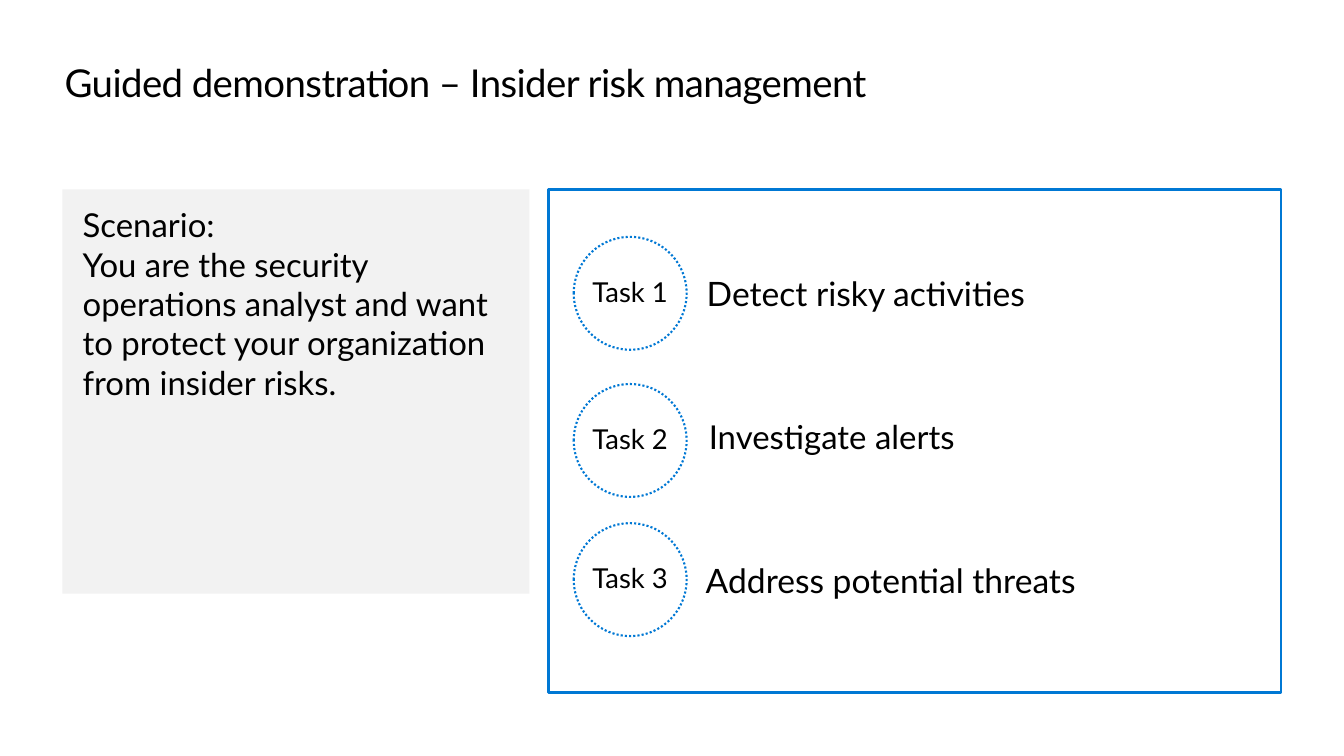
import pptx
import pptx.dml.color
import pptx.enum.dml
import pptx.enum.shapes
import pptx.enum.text
import pptx.util

EMU_PER_PX = 9144
SHAPES = pptx.enum.shapes.MSO_SHAPE
ANCHOR = pptx.enum.text.MSO_ANCHOR
ALIGN = pptx.enum.text.PP_ALIGN
DOTTED = pptx.enum.dml.MSO_LINE.ROUND_DOT
BLACK, BLUE, GREY, WHITE = "000000", "0078D4", "F2F2F2", "FFFFFF"
TASKS = [
    {"name": "Task 1", "text": "Detect risky activities", "circle": (25, 47), "label": (157, 83), "size": 24},
    {"name": "Task 2", "text": "Investigate alerts", "circle": (25, 193), "label": (159, 225), "size": 23.5},
    {"name": "Task 3", "text": "Address potential threats", "circle": (25, 331), "label": (156, 367), "size": 24},
]


def px(length):
    return pptx.util.Emu(length * EMU_PER_PX)


def color(value):
    return pptx.dml.color.RGBColor.from_string(value)


def set_all(target, values):
    for name, value in values.items():
        setattr(target, name, value)


def write(shape, lines, size, insets=(0, 0, 0, 0), frame_format=None, paragraph_format=None):
    frame = shape.text_frame
    left, top, right, bottom = map(px, insets)
    set_all(frame, {
        "margin_left": left, "margin_top": top, "margin_right": right, "margin_bottom": bottom,
        "word_wrap": True, "vertical_anchor": ANCHOR.TOP,
        "auto_size": pptx.enum.text.MSO_AUTO_SIZE.NONE, **(frame_format or {}),
    })
    frame.text = "\n".join(lines)
    for paragraph in frame.paragraphs:
        set_all(paragraph, {"alignment": ALIGN.LEFT, **(paragraph_format or {})})
        for run in paragraph.runs:
            set_all(run.font, {"name": "Lato", "size": pptx.util.Pt(size)})
            run.font.color.rgb = color(BLACK)


def add_shape(slide, kind, box, fill=None, line=None, dash=None):
    shape = slide.shapes.add_shape(kind, *map(px, box))
    shape.shadow.inherit = False
    if fill:
        shape.fill.solid()
        shape.fill.fore_color.rgb = color(fill)
    else:
        shape.fill.background()
    if line:
        shape.line.color.rgb = color(line)
        shape.line.width = pptx.util.Pt(1.5)
        if dash:
            shape.line.dash_style = dash
    else:
        shape.line.fill.background()
    return shape


def add_title(slide, box):
    title = slide.shapes.title
    set_all(title, dict(zip(("left", "top", "width", "height"), map(px, box))))
    write(title, ["Guided demonstration – Insider risk management"], 27.45,
          insets=(0, 10, 16, 10), paragraph_format={"line_spacing": 0.9})
    title.text_frame.paragraphs[0].runs[0].font._element.set("spc", "-45")


def add_scenario(slide, box):
    panel = add_shape(slide, SHAPES.RECTANGLE, box, fill=GREY)
    write(panel, [
        "Scenario:",
        "You are the security operations analyst and want to protect your organization from insider risks.",
    ], 23.5, insets=(20, 15, 20, 15))
    description = panel.text_frame.paragraphs[1]
    description.level = 1
    description._p.get_or_add_pPr().set("marL", "0")


def add_tasks(slide, box):
    left, top, width, height = box
    add_shape(slide, SHAPES.RECTANGLE, box, line=BLUE)
    for task in TASKS:
        x, y = task["circle"]
        circle = add_shape(slide, SHAPES.OVAL, (left + x, top + y, 112, 112), WHITE, BLUE, DOTTED)
        write(circle, [task["name"]], 19.6,
              frame_format={"word_wrap": False, "vertical_anchor": ANCHOR.MIDDLE},
              paragraph_format={"alignment": ALIGN.CENTER, "line_spacing": 0.9})
        x, y = task["label"]
        label = slide.shapes.add_textbox(*map(px, (left + x, top + y, 546, 40)))
        write(label, [task["text"]], task["size"],
              frame_format={"auto_size": pptx.enum.text.MSO_AUTO_SIZE.SHAPE_TO_FIT_TEXT})


def main():
    presentation = pptx.Presentation()
    set_all(presentation, {"slide_width": px(1333), "slide_height": px(750)})
    slide = presentation.slides.add_slide(presentation.slide_layouts.get_by_name("Title Only"))
    add_title(slide, (64, 54, 1205, 47))
    add_scenario(slide, (62, 188, 463, 401))
    add_tasks(slide, (544, 188, 727, 499))
    presentation.save("out.pptx")


if __name__ == "__main__":
    main()
